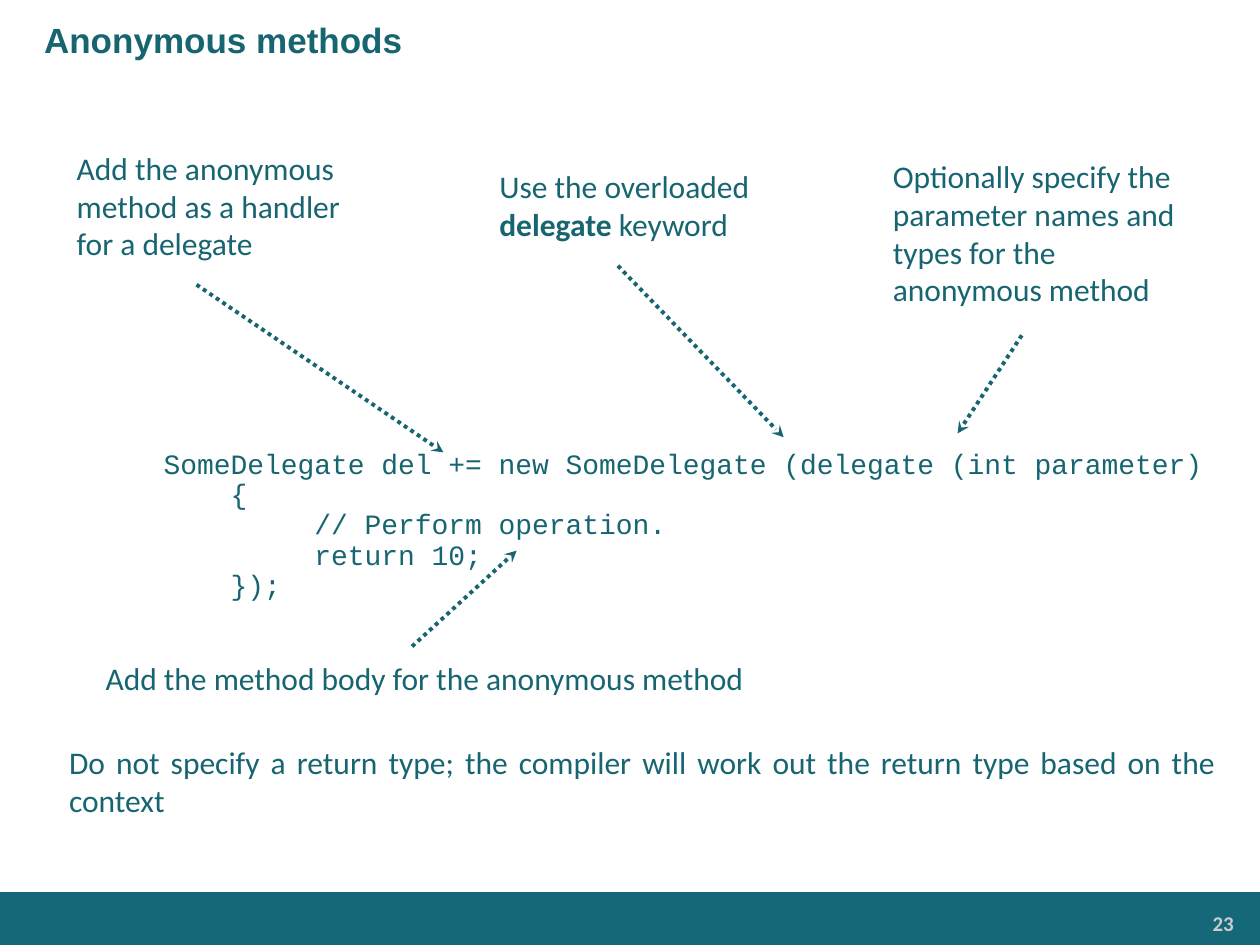
from dataclasses import dataclass

from lxml import etree
from pptx import Presentation
from pptx.dml.color import RGBColor
from pptx.enum.dml import MSO_LINE
from pptx.enum.shapes import MSO_CONNECTOR, MSO_SHAPE
from pptx.enum.text import MSO_ANCHOR, PP_ALIGN
from pptx.oxml.ns import qn
from pptx.util import Pt

LEFT, CENTER, RIGHT, JUSTIFY = PP_ALIGN.LEFT, PP_ALIGN.CENTER, PP_ALIGN.RIGHT, PP_ALIGN.JUSTIFY
TOP, MIDDLE = MSO_ANCHOR.TOP, MSO_ANCHOR.MIDDLE
RECTANGLE, ROUNDED = MSO_SHAPE.RECTANGLE, MSO_SHAPE.ROUNDED_RECTANGLE
DOCUMENT = MSO_SHAPE.FLOWCHART_DOCUMENT
STRAIGHT, DOTTED = MSO_CONNECTOR.STRAIGHT, MSO_LINE.ROUND_DOT
SIDE_TOP, SIDE_BOTTOM = 0, 2


@dataclass(frozen=True)
class Theme:
    ink = RGBColor(0x17, 0x65, 0x71)
    band = RGBColor(0x14, 0x68, 0x78)
    number = RGBColor(0xCC, 0xCC, 0xCC)
    title_font = {"name": "Arial", "size": Pt(20), "bold": True}
    body_font = {"name": "Calibri", "size": Pt(18)}
    code_font = {"name": "Courier New", "size": Pt(16)}
    number_font = {"name": "Calibri", "size": Pt(12), "bold": True}
    arrow_width = Pt(2.25)


THEME = Theme()

CODE = [
    "SomeDelegate del += new SomeDelegate (delegate (int parameter)",
    "    {",
    "         // Perform operation.",
    "         return 10;",
    "    });",
]
CODE_BOX = (86.4, 247.7, 612, 131.8)

# Text runs with a bold flag, box, alignment, side the arrow leaves from,
# and arrow target relative to the code box
CALLOUTS = [
    ([("Add the anonymous method as a handler for a delegate", False)],
     (18, 75.6, 188.6, 87.1), LEFT, SIDE_BOTTOM, (167, 10.8)),
    ([("Use the overloaded ", False), ("delegate", True), (" keyword", False)],
     (260.6, 85.7, 185, 66.2), LEFT, SIDE_BOTTOM, (361.4, 2.2)),
    ([("Optionally specify the parameter names and types for the anonymous method", False)],
     (483.1, 77.8, 201.6, 113.8), LEFT, SIDE_BOTTOM, (460.8, 0)),
    ([("Add the method body for the anonymous method", False)],
     (32.4, 369.4, 406.1, 39.6), CENTER, SIDE_TOP, (208.8, 67)),
]


def points(values):
    return [Pt(value) for value in values]


def apply(target, formats):
    for attribute, value in formats.items():
        setattr(target, attribute, value)


def write(shape, paragraphs, font, color=THEME.ink, align=LEFT, anchor=MIDDLE,
          insets=(7.2, 3.6, 7.2, 3.6), spacing=1.0):
    """Fill a shape with paragraphs, each a list of (text, bold) runs."""
    frame = shape.text_frame
    left, top, right, bottom = points(insets)
    apply(frame, {"word_wrap": True, "vertical_anchor": anchor, "margin_left": left,
                  "margin_top": top, "margin_right": right, "margin_bottom": bottom})
    for index, runs in enumerate(paragraphs):
        paragraph = frame.paragraphs[0] if index == 0 else frame.add_paragraph()
        apply(paragraph, {"alignment": align, "line_spacing": spacing})
        for text, bold in runs:
            run = paragraph.add_run()
            run.text = text
            apply(run.font, {"bold": bold, **font})
            run.font.color.rgb = color


def add_panel(slide, preset, box, fill=None):
    panel = slide.shapes.add_shape(preset, *points(box))
    panel.shadow.inherit = False
    panel.line.fill.background()
    if fill is None:
        panel.fill.background()
    else:
        panel.fill.solid()
        panel.fill.fore_color.rgb = fill
    return panel


def add_title(slide, box):
    title = slide.shapes.add_textbox(*points(box))
    write(title, [[("Anonymous methods", True)]], THEME.title_font,
          insets=(25.2, 3.6, 7.2, 3.6))


def add_footer(slide, box):
    left, top, width, height = box
    add_panel(slide, RECTANGLE, box, THEME.band)
    number = slide.shapes.add_textbox(*points((left + 592.6, top + 7.9, 117.4, 20.2)))
    write(number, [[("23", True)]], THEME.number_font, THEME.number, RIGHT, TOP,
          insets=(5, 2.9, 5, 2.9))


def add_code(slide, box):
    listing = add_panel(slide, DOCUMENT, box)
    write(listing, [[(line, False)] for line in CODE], THEME.code_font, spacing=0.9)


def add_arrow(slide, callout, side, target):
    """Draw a dotted arrow from one side of a callout to a point."""
    arrow = slide.shapes.add_connector(STRAIGHT, 0, 0, *points(target))
    arrow.begin_connect(callout, side)
    apply(arrow.line, {"width": THEME.arrow_width, "dash_style": DOTTED})
    arrow.line.color.rgb = THEME.ink
    etree.SubElement(arrow.line._get_or_add_ln(), qn("a:tailEnd"), type="stealth")
    etree.SubElement(arrow._element.spPr, qn("a:effectLst"))


def add_callouts(slide, code_box):
    code_left, code_top = code_box[:2]
    for runs, box, align, side, (dx, dy) in CALLOUTS:
        callout = add_panel(slide, ROUNDED, box)
        write(callout, [runs], THEME.body_font, align=align, insets=(21.6, 0, 7.2, 3.6))
        add_arrow(slide, callout, side, (code_left + dx, code_top + dy))


def add_remark(slide, box):
    remark = slide.shapes.add_textbox(*points(box))
    text = ("Do not specify a return type; the compiler will work out "
            "the return type based on the context")
    write(remark, [[(text, False)]], THEME.body_font, align=JUSTIFY, anchor=TOP)


def main():
    presentation = Presentation()
    apply(presentation, {"slide_width": Pt(720), "slide_height": Pt(540)})
    slide = presentation.slides.add_slide(presentation.slide_layouts[6])
    add_footer(slide, (0, 509.8, 720, 30.2))
    add_title(slide, (0, 0, 720, 45.4))
    add_code(slide, CODE_BOX)
    add_remark(slide, (32.4, 421.2, 669.6, 51.1))
    add_callouts(slide, CODE_BOX)
    presentation.save("out.pptx")


if __name__ == "__main__":
    main()
